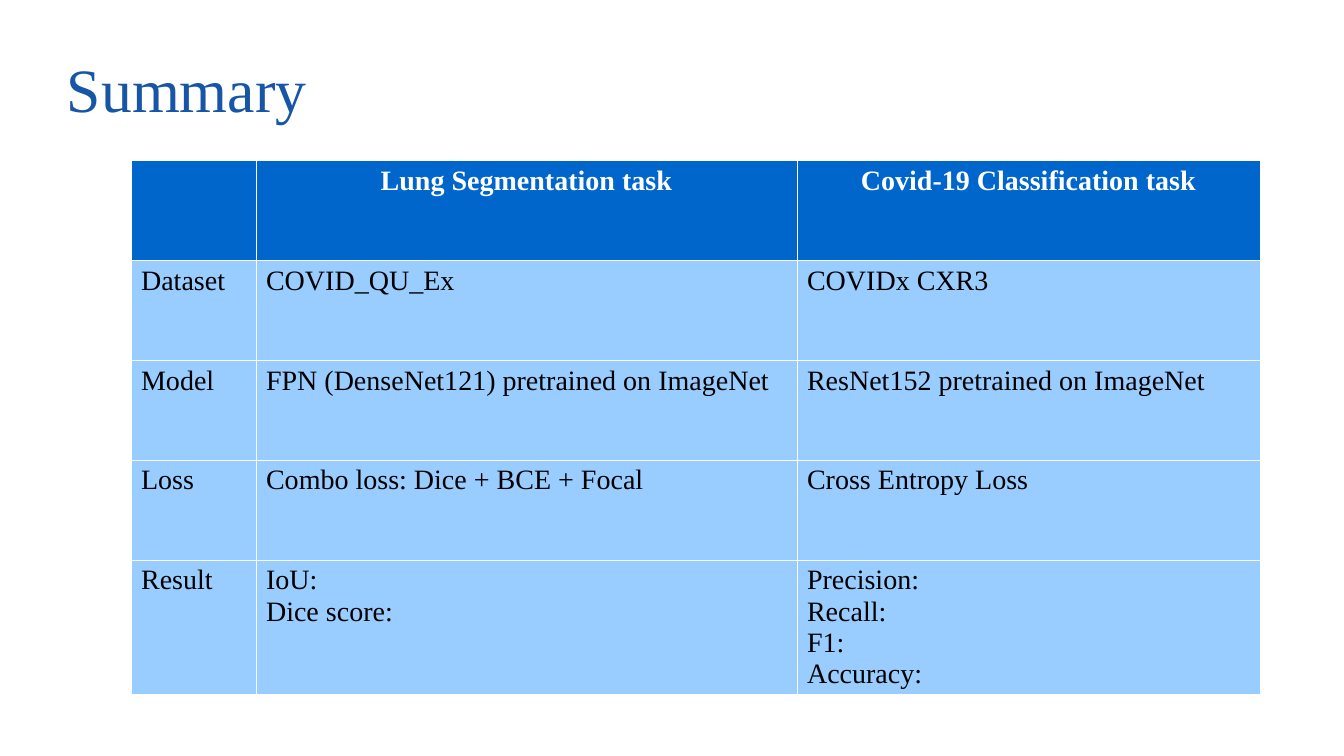
from lxml import etree
from pptx import Presentation
from pptx.dml.color import RGBColor
from pptx.enum.text import MSO_ANCHOR, MSO_AUTO_SIZE, PP_ALIGN
from pptx.oxml.ns import qn
from pptx.util import Pt

# Content
TITLE = "Summary"
TASKS = [
    ("", "Lung Segmentation task", "Covid-19 Classification task"),
    ("Dataset", "COVID_QU_Ex", "COVIDx CXR3"),
    ("Model", "FPN (DenseNet121) pretrained on ImageNet",
     "ResNet152 pretrained on ImageNet"),
    ("Loss", "Combo loss: Dice + BCE + Focal", "Cross Entropy Loss"),
    ("Result", "IoU:\nDice score:", "Precision:\nRecall:\nF1:\nAccuracy:"),
]

# Layout in px
PX = 914400 / 100.8
SLIDE_SIZE = (1344, 756)
TITLE_BOX = (67, 30, 1210, 126)
TABLE_LEFT, TABLE_TOP = 131, 160
COLUMN_WIDTHS = (125, 541, 463)
ROW_HEIGHTS = (100, 100, 100, 100, 125)
BORDER_EMU = 762

# Formats
FONT = "Times New Roman"
TITLE_BLUE = RGBColor(0x17, 0x56, 0xA6)
HEADER_BLUE = RGBColor(0x00, 0x66, 0xCC)
BODY_BLUE = RGBColor(0x99, 0xCC, 0xFF)
WHITE = RGBColor(0xFF, 0xFF, 0xFF)
BLACK = RGBColor(0x00, 0x00, 0x00)
LEFT, CENTER = PP_ALIGN.LEFT, PP_ALIGN.CENTER
MIDDLE, NO_FIT = MSO_ANCHOR.MIDDLE, MSO_AUTO_SIZE.NONE
TITLE_FONT = {"name": FONT, "size": Pt(44), "bold": False}
HEADER_FONT = {"name": FONT, "size": Pt(20), "bold": True}
BODY_FONT = {"name": FONT, "size": Pt(20), "bold": False}
TITLE_FRAME = {"margin_left": 0, "margin_top": 0, "margin_right": 0,
               "margin_bottom": 0, "vertical_anchor": MIDDLE,
               "word_wrap": True, "auto_size": NO_FIT}


def emu(px):
    return round(px * PX)


def set_all(target, values):
    for key, value in values.items():
        setattr(target, key, value)


def format_paragraph(paragraph, font, color, alignment):
    paragraph.alignment = alignment
    set_all(paragraph.font, font)
    paragraph.font.color.rgb = color
    for run in paragraph.runs:
        set_all(run.font, font)
        run.font.color.rgb = color


def add_borders(cell):
    properties = cell._tc.get_or_add_tcPr()
    for side in ("a:lnL", "a:lnR", "a:lnT", "a:lnB"):
        line = etree.SubElement(properties, qn(side), w=str(BORDER_EMU))
        fill = etree.SubElement(line, qn("a:solidFill"))
        etree.SubElement(fill, qn("a:srgbClr"), val=str(WHITE))


def add_title(slide):
    title = slide.shapes.title
    title.left, title.top, title.width, title.height = map(emu, TITLE_BOX)
    title.text_frame.text = TITLE
    set_all(title.text_frame, TITLE_FRAME)
    heading = title.text_frame.paragraphs[0]
    format_paragraph(heading, TITLE_FONT, TITLE_BLUE, LEFT)
    heading.line_spacing = 0.9


def add_task_table(slide):
    table = slide.shapes.add_table(
        len(TASKS), len(COLUMN_WIDTHS), emu(TABLE_LEFT), emu(TABLE_TOP),
        emu(sum(COLUMN_WIDTHS)), emu(sum(ROW_HEIGHTS))).table
    for column, width in zip(table.columns, COLUMN_WIDTHS):
        column.width = emu(width)
    for row, height in zip(table.rows, ROW_HEIGHTS):
        row.height = emu(height)

    for r, texts in enumerate(TASKS):
        if r == 0:
            background, style = HEADER_BLUE, (HEADER_FONT, WHITE, CENTER)
        else:
            background, style = BODY_BLUE, (BODY_FONT, BLACK, LEFT)
        for c, text in enumerate(texts):
            cell = table.cell(r, c)
            cell.text = text
            add_borders(cell)
            cell.fill.solid()
            cell.fill.fore_color.rgb = background
            for paragraph in cell.text_frame.paragraphs:
                format_paragraph(paragraph, *style)


def main():
    presentation = Presentation()
    presentation.slide_width, presentation.slide_height = map(emu, SLIDE_SIZE)
    slide = presentation.slides.add_slide(presentation.slide_layouts[5])
    slide.background.fill.solid()
    slide.background.fill.fore_color.rgb = WHITE
    add_title(slide)
    add_task_table(slide)
    presentation.save("out.pptx")


if __name__ == "__main__":
    main()
